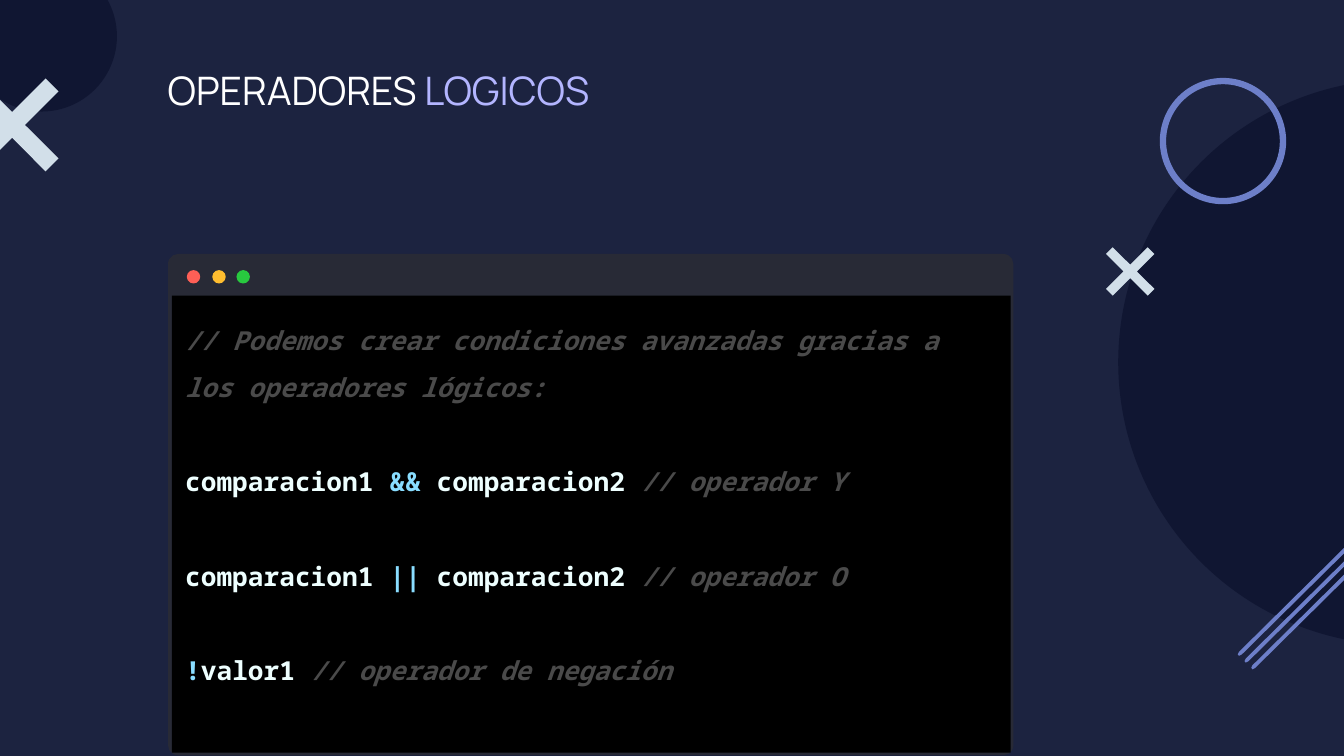
import pptx
import pptx.util
import pptx.dml.color
import pptx.enum.shapes
import pptx.enum.text

Inches = pptx.util.Inches
Pt = pptx.util.Pt
KIND = pptx.enum.shapes.MSO_SHAPE


def color(code):
    return pptx.dml.color.RGBColor.from_string(code)


def write(par, text, font="Noto Sans Mono", size=14, fill="EEFFFF", bold=False, slant=False):
    run = par.add_run()
    run.text = text
    run.font.name = font
    run.font.size = Pt(size)
    run.font.bold = bold
    run.font.italic = slant
    run.font.color.rgb = color(fill)


deck = pptx.Presentation()
deck.slide_width = Inches(10)
deck.slide_height = Inches(10 * 9 / 16)
slide = deck.slides.add_slide(deck.slide_layouts[6])
slide.background.fill.solid()
slide.background.fill.fore_color.rgb = color("1C2340")
shapes = slide.shapes

for kind, left, top, width, height, fill, bend in [
    (KIND.ROUNDED_RECTANGLE, 1.25, 1.89, 6.29, 3.73, "282A36", 0.02),
    (KIND.OVAL, 1.39, 2.01, 0.1, 0.1, "FF5F56", None),
    (KIND.OVAL, 1.58, 2.01, 0.1, 0.1, "FFBD2F", None),
    (KIND.OVAL, 1.76, 2.01, 0.1, 0.1, "28C93F", None),
]:
    item = shapes.add_shape(kind, Inches(left), Inches(top), Inches(width), Inches(height))
    item.shadow.inherit = False
    item.fill.solid()
    item.fill.fore_color.rgb = color(fill)
    item.line.fill.background()
    if bend is not None:
        item.adjustments[0] = bend

frames = []
for left, top, width, height in [(1.28, 2.2, 6.24, 3.4), (1.15, 0.39, 4.86, 0.86)]:
    box = shapes.add_textbox(Inches(left), Inches(top), Inches(width), Inches(height))
    frame = box.text_frame
    frame.word_wrap = True
    frame.vertical_anchor = pptx.enum.text.MSO_ANCHOR.TOP
    frame.margin_left = frame.margin_right = Inches(0.1)
    frame.margin_top = frame.margin_bottom = Inches(0.1)
    frames.append((box, frame))

(panel, code), (_, title) = frames
panel.fill.solid()
panel.fill.fore_color.rgb = color("000000")

lines = [
    [("// Podemos crear condiciones avanzadas gracias a los operadores lógicos:", "4A4A4A")],
    [("comparacion1 ", "EEFFFF"), ("&&", "89DDFF"), (" comparacion2 ", "EEFFFF"), ("// operador Y", "4A4A4A")],
    [("comparacion1 ", "EEFFFF"), ("||", "89DDFF"), (" comparacion2 ", "EEFFFF"), ("// operador O", "4A4A4A")],
    [("!", "89DDFF"), ("valor1 ", "EEFFFF"), ("// operador de negación", "4A4A4A")],
]
for row, line in enumerate(lines):
    par = code.add_paragraph() if row else code.paragraphs[0]
    par.line_spacing = 1.5
    if row:
        par.space_before = Pt(25.2)
    for text, fill in line:
        write(par, text, fill=fill, bold=True, slant=text.startswith("//"))

for text, fill in [("OPERADORES ", "FFFFFF"), ("LOGICOS", "B3B5FF")]:
    write(title.paragraphs[0], text, font="Manrope", size=21, fill=fill)

cross = [(-0.13, -0.18), (-0.18, -0.13), (-0.05, 0), (-0.18, 0.13), (-0.13, 0.18), (0, 0.05),
         (0.13, 0.18), (0.18, 0.13), (0.05, 0), (0.18, -0.13), (0.13, -0.18), (0, -0.05)]
stripe = [(0.92, 0), (0.9, 0.01), (0.01, 0.89), (0, 0.91), (0.01, 0.92),
          (0.03, 0.91), (0.92, 0.03), (0.93, 0.01)]
for form, left, top, zoom, fill in [
    (KIND.OVAL, -0.25, -0.29, 1.12, "101632"),
    (KIND.OVAL, 8.32, 0.59, 4.21, "101632"),
    (cross, 8.41, 2.02, 1, "D2DFE9"),
    (KIND.DONUT, 8.63, 0.58, 0.94, "6D7FC9"),
    (stripe, 9.21, 3.96, 1, "6D7FC9"),
    (stripe, 9.26, 4.01, 1, "6D7FC9"),
    (stripe, 9.31, 4.06, 1, "6D7FC9"),
    (cross, 0.09, 0.93, 1.92, "D2DFE9"),
]:
    if isinstance(form, list):
        dots = [(Inches(left + x * zoom), Inches(top + y * zoom)) for x, y in form]
        pen = shapes.build_freeform(*dots[0])
        pen.add_line_segments(dots[1:], close=True)
        item = pen.convert_to_shape()
    else:
        item = shapes.add_shape(form, Inches(left), Inches(top), Inches(zoom), Inches(zoom))
    if form == KIND.DONUT:
        item.adjustments[0] = 0.05
    item.shadow.inherit = False
    item.fill.solid()
    item.fill.fore_color.rgb = color(fill)
    item.line.fill.background()

deck.save("out.pptx")
